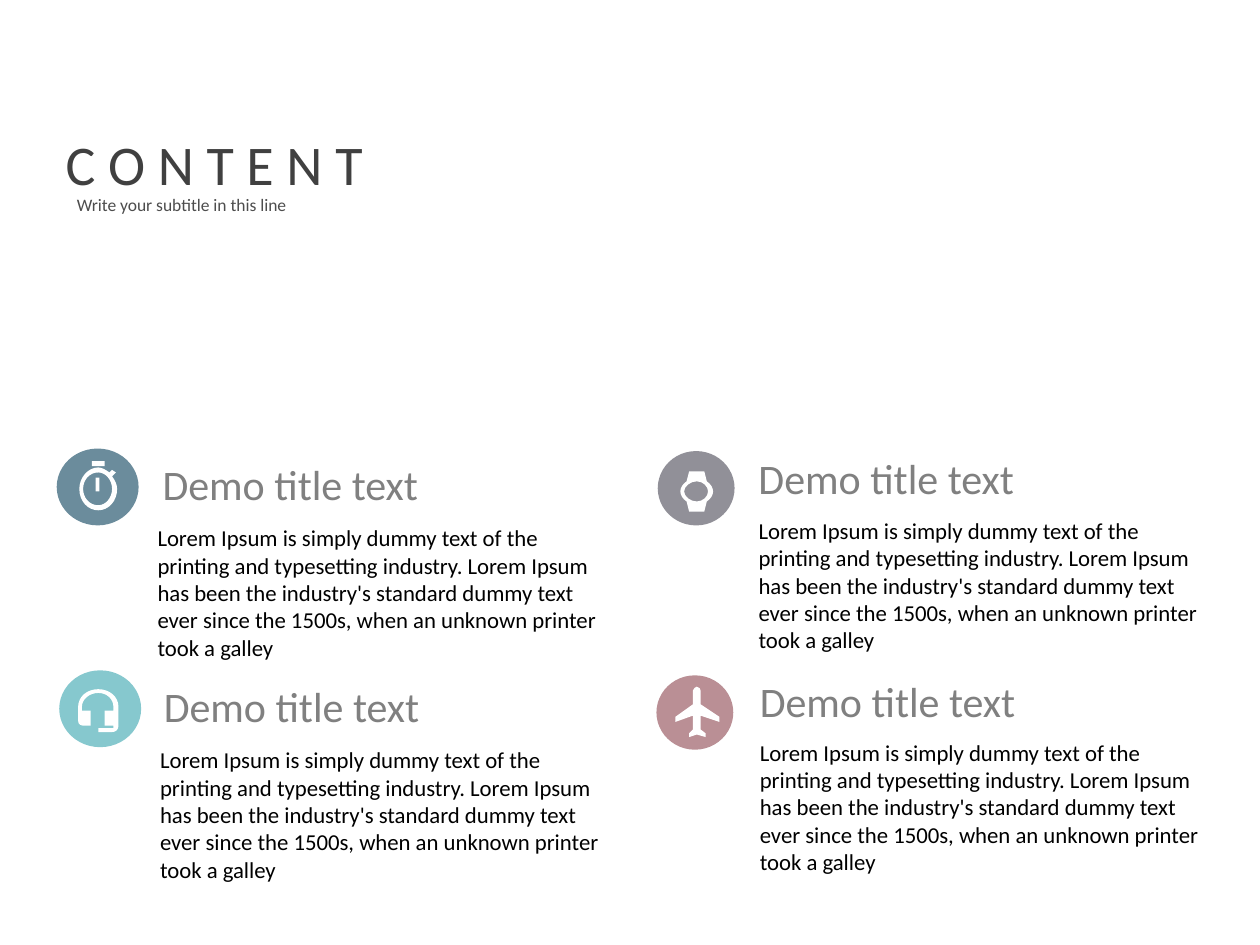
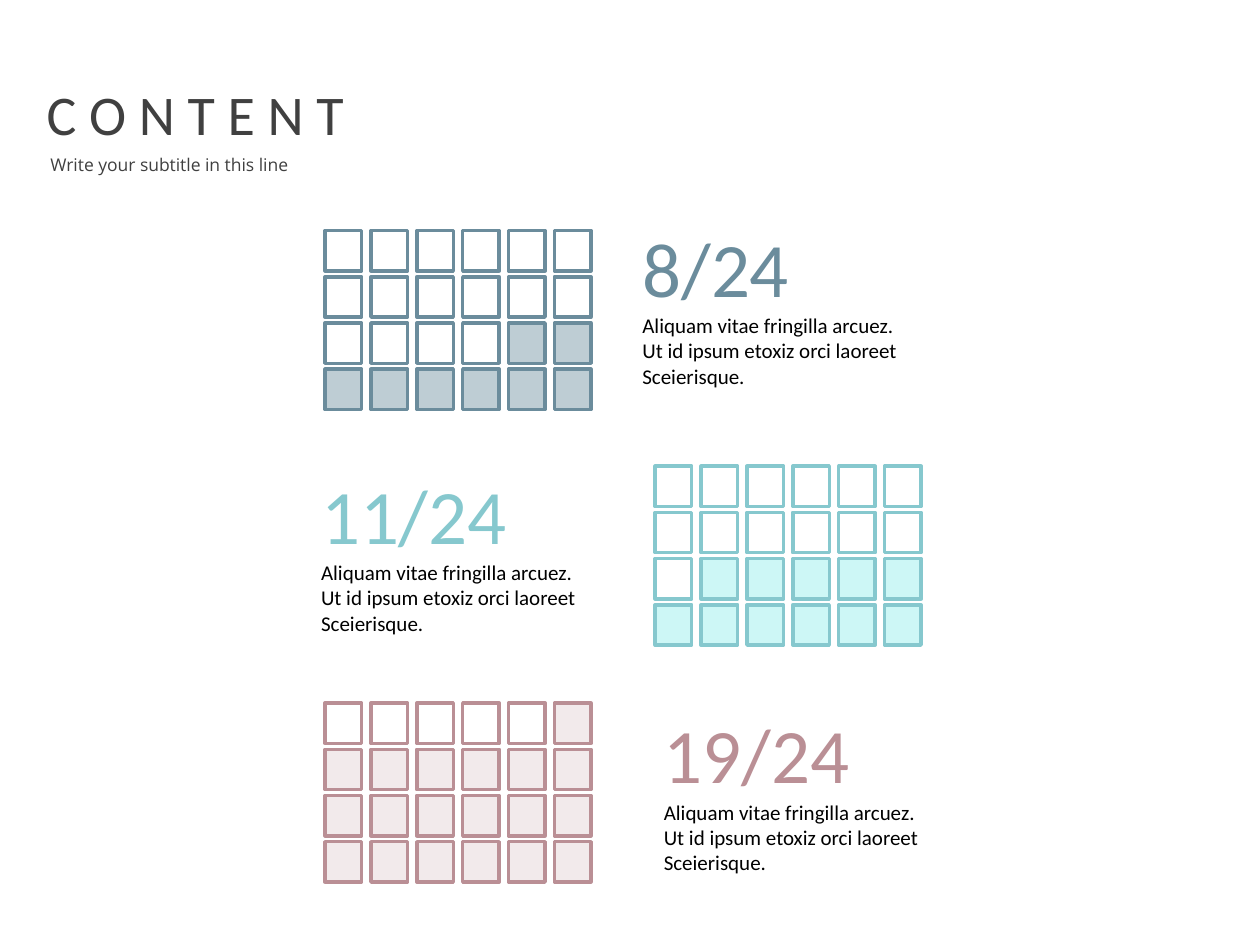
"""Build two content slides: an icon list and a set of square-grid ratios."""
from lxml import etree
from pptx import Presentation
from pptx.dml.color import RGBColor
from pptx.enum import shapes, text
from pptx.oxml import ns
from pptx.util import Inches, Pt

SLATE = RGBColor(0x6B, 0x8C, 0x9C)
PALE_SLATE = RGBColor(0xBE, 0xCD, 0xD4)
TEAL = RGBColor(0x86, 0xC8, 0xCE)
PALE_TEAL = RGBColor(0xCD, 0xF7, 0xF6)
ROSE = RGBColor(0xBA, 0x8F, 0x95)
PALE_ROSE = RGBColor(0xF2, 0xEA, 0xEB)
MAUVE = RGBColor(0x91, 0x90, 0x98)
WHITE = RGBColor(0xFF, 0xFF, 0xFF)
BLACK = RGBColor(0, 0, 0)
CHARCOAL = RGBColor(0x40, 0x40, 0x40)
DARK_GREY = RGBColor(0x4D, 0x4D, 0x4D)
GREY = RGBColor(0x80, 0x80, 0x80)

FONT = "Calibri"
ROWS, COLUMNS = 4, 6
CELL_WIDTH, CELL_HEIGHT = 0.29, 0.32
COLUMN_STEP, ROW_STEP = 1.82 / (COLUMNS - 1), 1.1 / (ROWS - 1)

LOREM = ("Lorem Ipsum is simply dummy text of the printing and typesetting "
         "industry. Lorem Ipsum has been the industry's standard dummy text "
         "ever since the 1500s, when an unknown printer took a galley")
RATIO_LINES = ("Aliquam vitae fringilla arcuez.",
               "Ut id ipsum etoxiz orci laoreet",
               "Sceierisque.")

STOPWATCH = [
    [(20, 0), (10, 0), (10, 4), (20, 4)],
    [(13, 24), (16, 24), (16, 13), (13, 13)],
    [(26, 12), (29, 9), (28, 8, 27, 8, 26, 7), (24, 9), (21, 7, 18, 5, 15, 5),
     (7, 5, 0, 13, 0, 22), (0, 32, 7, 39, 15, 39), (23, 39, 30, 32, 30, 22),
     (30, 18, 28, 15, 26, 12)],
    [(15, 35), (8, 35, 3, 29, 3, 22), (3, 15, 8, 9, 15, 9),
     (21, 9, 26, 15, 26, 22), (26, 29, 21, 35, 15, 35)],
]
WATCH = [
    [(26, 16), (26, 13, 24, 10, 21, 8), (19, 0), (7, 0), (5, 8),
     (2, 10, 0, 13, 0, 16), (0, 19, 2, 22, 5, 24), (7, 32), (19, 32), (21, 24),
     (24, 22, 26, 19, 26, 16)],
    [(3, 16), (3, 12, 8, 8, 13, 8), (18, 8, 22, 12, 22, 16),
     (22, 20, 18, 24, 13, 24), (8, 24, 3, 20, 3, 16)],
]
HEADSET = [
    [(16, 0), (7, 0, 0, 6, 0, 14), (0, 25), (0, 28, 2, 29, 5, 29), (10, 29),
     (10, 17), (3, 17), (3, 14), (3, 8, 9, 3, 16, 3), (23, 3, 28, 8, 28, 14),
     (28, 17), (21, 17), (21, 29), (28, 29), (28, 31), (16, 31), (16, 34),
     (27, 34), (30, 34, 32, 32, 32, 29), (32, 14), (32, 6, 25, 0, 16, 0)],
]
PLANE = [
    [(35, 28), (35, 24), (20, 14), (20, 3), (20, 2, 19, 0, 17, 0),
     (16, 0, 14, 2, 14, 3), (14, 14), (0, 24), (0, 28), (14, 23), (14, 34),
     (11, 37), (11, 40), (17, 38), (24, 40), (24, 37), (20, 34), (20, 23)],
]


def place(shape, left, top, width, height):
    """Move and size a shape in inches."""
    shape.left, shape.top = Inches(left), Inches(top)
    shape.width, shape.height = Inches(width), Inches(height)


def paint(shape, fill=None, line=None):
    """Set the fill and outline of a shape and drop its shadow."""
    shape.shadow.inherit = False
    if fill is None:
        shape.fill.background()
    else:
        shape.fill.solid()
        shape.fill.fore_color.rgb = fill
    if line is None:
        shape.line.fill.background()
    else:
        shape.line.color.rgb = line
        shape.line.width = Pt(2)


def set_margins(frame, margin):
    """Give a text frame the same margin on all four sides."""
    frame.margin_left = frame.margin_right = Inches(margin)
    frame.margin_top = frame.margin_bottom = Inches(margin)


def add_span(para, words, size, color, font=FONT):
    """Append a formatted run to a paragraph."""
    span = para.add_run()
    span.text = words
    span.font.name = font
    span.font.size = Pt(size)
    span.font.color.rgb = color


def add_box(page, left, top, width, height, margin=None, wrap=True):
    """Add an empty text box and return its text frame."""
    frame = page.shapes.add_textbox(Inches(left), Inches(top), Inches(width),
                                    Inches(height)).text_frame
    frame.word_wrap = wrap
    if margin is not None:
        set_margins(frame, margin)
    return frame


def add_page(deck, title_at, subtitle_at, subtitle_color, subtitle_font):
    """Add a slide with the shared title and subtitle."""
    page = deck.slides.add_slide(deck.slide_layouts[5])
    title = page.shapes.title
    place(title, *title_at, 2.59, 0.64)
    frame = title.text_frame
    frame.word_wrap = False
    frame.auto_size = text.MSO_AUTO_SIZE.SHAPE_TO_FIT_TEXT
    frame.vertical_anchor = text.MSO_ANCHOR.TOP
    para = frame.paragraphs[0]
    para.alignment = text.PP_ALIGN.LEFT
    add_span(para, "C O N T E N T", 32, CHARCOAL)
    subtitle = add_box(page, *subtitle_at, 2.09, 0.23, margin=0)
    add_span(subtitle.paragraphs[0], "Write your subtitle in this line", 10,
             subtitle_color, subtitle_font)
    return page


def bend(shape, contours):
    """Turn the straight segments that stand for curves into Béziers."""
    segments = list(shape.element.iter(ns.qn("a:lnTo")))
    steps = [step for contour in contours for step in contour[1:]]
    for segment, step in zip(segments, steps):
        if len(step) == 2:
            continue
        curve = etree.Element(ns.qn("a:cubicBezTo"))
        for x, y in zip(step[::2], step[1::2]):
            etree.SubElement(curve, ns.qn("a:pt"), x=str(x), y=str(y))
        segment.getparent().replace(segment, curve)


def add_icon(page, contours, left, top):
    """Draw a white icon whose contours are in hundredths of an inch."""
    builder = page.shapes.build_freeform(*contours[0][0], scale=Inches(0.01))
    for contour in contours:
        if contour is not contours[0]:
            builder.move_to(*contour[0])
        builder.add_line_segments([step[-2:] for step in contour[1:]], close=True)
    icon = builder.convert_to_shape(Inches(left), Inches(top))
    bend(icon, contours)
    paint(icon, WHITE)


def add_badge(page, color, disc_at, contours, icon_at):
    """Add a coloured disc with an icon on it."""
    disc = page.shapes.add_shape(shapes.MSO_SHAPE.OVAL,
                                 *(Inches(length) for length in disc_at))
    paint(disc, color)
    add_icon(page, contours, *icon_at)


def add_item(page, heading_at, body_at):
    """Add a heading with its paragraph of text."""
    heading = add_box(page, *heading_at, 2.13, 0.42, margin=0.04, wrap=False)
    heading.auto_size = text.MSO_AUTO_SIZE.SHAPE_TO_FIT_TEXT
    heading.vertical_anchor = text.MSO_ANCHOR.MIDDLE
    heading.paragraphs[0].line_spacing = 0.8
    add_span(heading.paragraphs[0], "Demo title text", 24, GREY)
    body = add_box(page, *body_at, 3.59, 1.05, margin=0.04)
    add_span(body.paragraphs[0], LOREM, 13, BLACK)


def add_grid(page, left, top, count, color, tint):
    """Draw a grid of squares with the last ones tinted."""
    group = page.shapes.add_group_shape()
    for index in range(ROWS * COLUMNS):
        row, column = divmod(index, COLUMNS)
        cell = group.shapes.add_shape(
            shapes.MSO_SHAPE.RECTANGLE,
            Inches(left + column * COLUMN_STEP), Inches(top + row * ROW_STEP),
            Inches(CELL_WIDTH), Inches(CELL_HEIGHT))
        paint(cell, tint if index >= ROWS * COLUMNS - count else None, color)


def add_ratio(page, left, top, count, color):
    """Add a large ratio with its three lines of text."""
    frame = add_box(page, left, top, 2.44, 1.45)
    frame.auto_size = text.MSO_AUTO_SIZE.SHAPE_TO_FIT_TEXT
    add_span(frame.paragraphs[0], f"{count}/{ROWS * COLUMNS}", 44, color)
    for line in RATIO_LINES:
        add_span(frame.add_paragraph(), line, 12, BLACK)


def build_icon_page(deck):
    """Build the slide with four icon items."""
    page = add_page(deck, (0.42, 0.98), (0.61, 1.54), DARK_GREY, FONT)
    items = [
        (SLATE, (0.45, 3.56, 0.65, 0.61), STOPWATCH, (0.63, 3.66), (1.25, 3.67), (1.21, 4.12)),
        (MAUVE, (5.22, 3.58, 0.61, 0.59), WATCH, (5.4, 3.74), (5.98, 3.62), (5.98, 4.06)),
        (TEAL, (0.47, 5.32, 0.65, 0.61), HEADSET, (0.62, 5.47), (1.26, 5.43), (1.23, 5.88)),
        (ROSE, (5.21, 5.36, 0.61, 0.59), PLANE, (5.36, 5.45), (5.99, 5.39), (5.99, 5.82)),
    ]
    for color, disc_at, contours, icon_at, heading_at, body_at in items:
        add_badge(page, color, disc_at, contours, icon_at)
        add_item(page, heading_at, body_at)


def build_ratio_page(deck):
    """Build the slide with three square grids and ratios."""
    page = add_page(deck, (0.27, 0.58), (0.4, 1.22), CHARCOAL, "Open Sans")
    ratios = [
        (8, SLATE, PALE_SLATE, (2.58, 1.83), (5, 1.7)),
        (11, TEAL, PALE_TEAL, (5.2, 3.7), (2.45, 3.66)),
        (19, ROSE, PALE_ROSE, (2.58, 5.58), (5.17, 5.56)),
    ]
    for count, color, tint, grid_at, ratio_at in ratios:
        add_grid(page, *grid_at, count, color, tint)
        add_ratio(page, *ratio_at, count, color)


def main():
    """Build and save the deck."""
    deck = Presentation()
    deck.slide_width, deck.slide_height = Inches(10), Inches(7.5)
    build_icon_page(deck)
    build_ratio_page(deck)
    deck.save("out.pptx")


if __name__ == "__main__":
    main()
